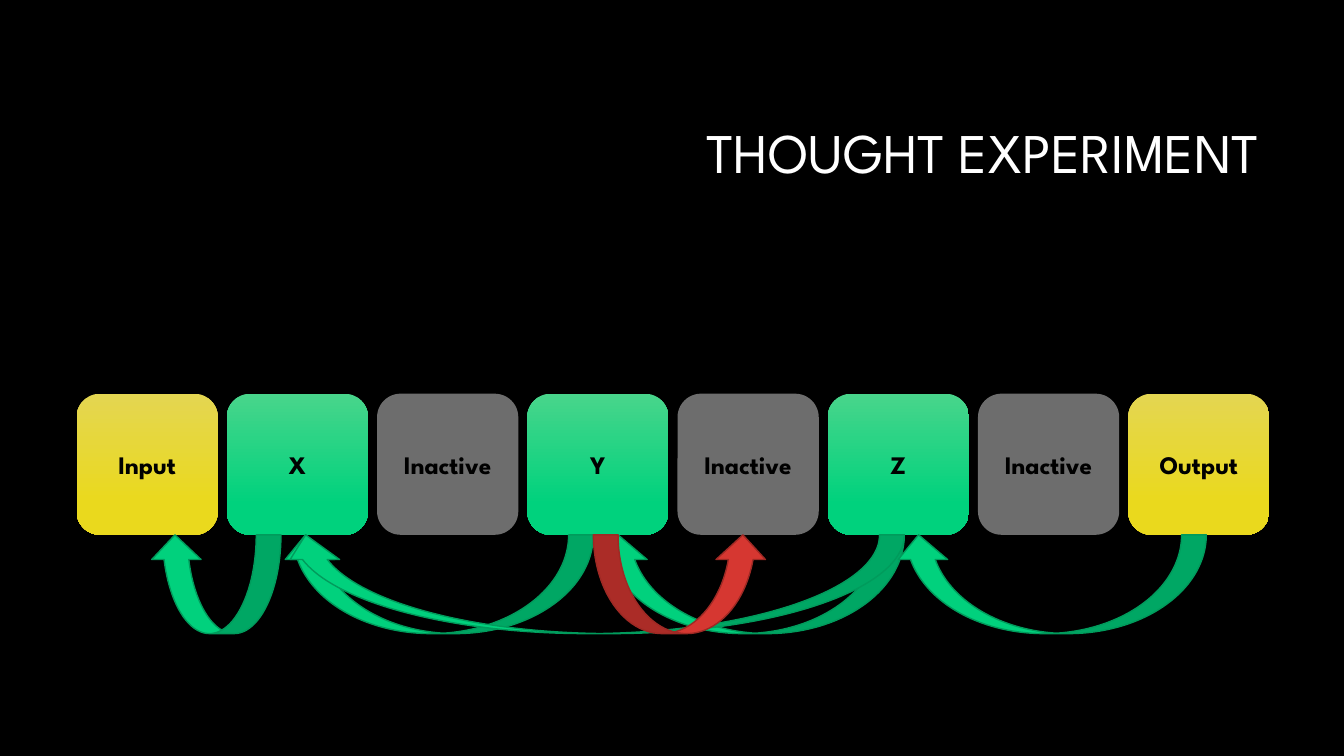
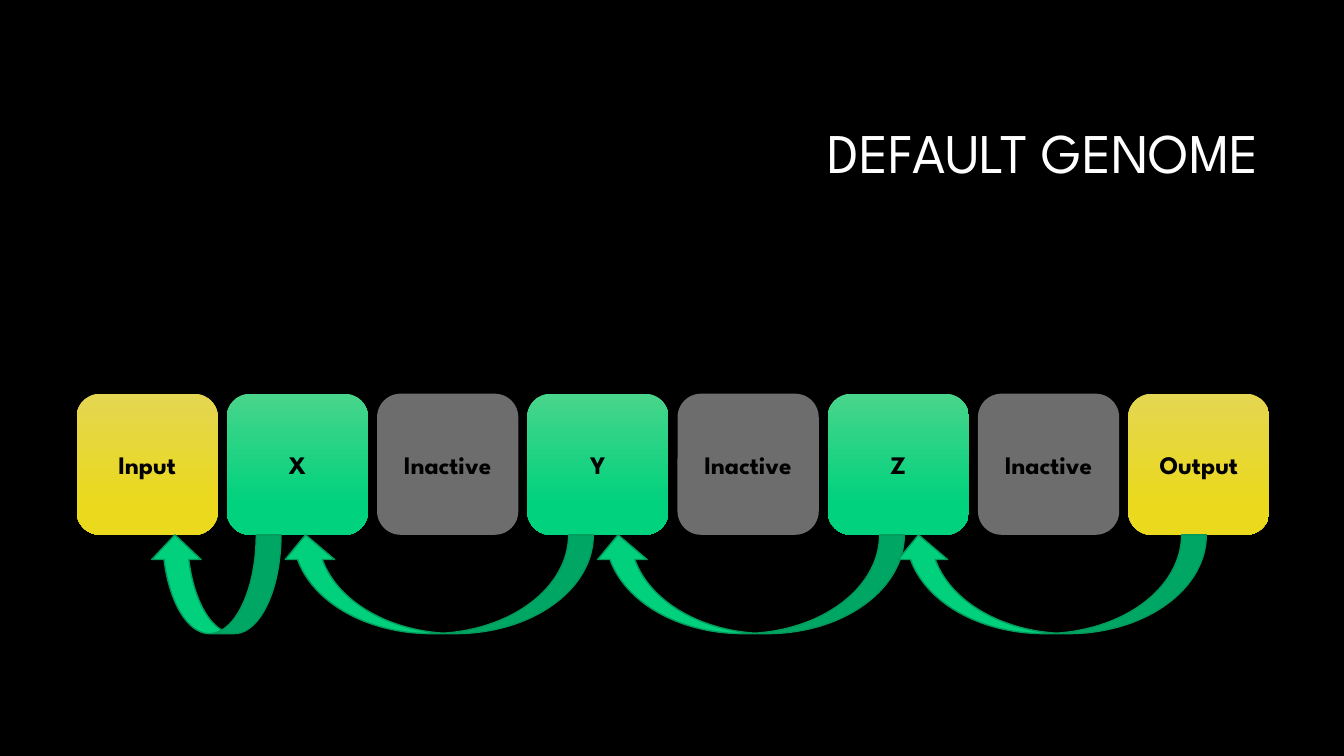
from pptx import Presentation
from pptx.dml.color import RGBColor
from pptx.enum.shapes import MSO_SHAPE
from pptx.enum.text import MSO_ANCHOR, PP_ALIGN
from pptx.util import Inches, Pt

TILE = MSO_SHAPE.ROUNDED_RECTANGLE
CURVED_ARROW = MSO_SHAPE.CURVED_UP_ARROW
MIDDLE = MSO_ANCHOR.MIDDLE
CENTER = PP_ALIGN.CENTER
RIGHT = PP_ALIGN.RIGHT

TITLE_ONLY = 5
TILE_ROW = 2.19
TILE_WIDTH = 0.94

YELLOW = ("E4D651", "EAD91D")
GREEN = ("48D58B", "00D27D")
GRAY = ("6D6D6D",)
ACTIVE_ARROW = ("01D17D", "019B5C")
BROKEN_ARROW = ("D63731", "9E2924")

GENES = [
    ("Input", YELLOW), ("X", GREEN), ("Inactive", GRAY), ("Y", GREEN),
    ("Inactive", GRAY), ("Z", GREEN), ("Inactive", GRAY), ("Output", YELLOW),
]

INPUT_PORT, X_PORT, Y_PORT, Z_PORT = 0.49, 1.36, 3.44, 5.51
Z_HEAD, OUTPUT_PORT, INACTIVE_PORT = 5.44, 7.52, 4.6

DEFAULT_LINKS = [
    (Z_PORT, Y_PORT, ACTIVE_ARROW),
    (Y_PORT, X_PORT, ACTIVE_ARROW),
    (X_PORT, INPUT_PORT, ACTIVE_ARROW),
    (OUTPUT_PORT, Z_HEAD, ACTIVE_ARROW),
]
EXTRA_LINKS = [
    (Z_PORT, X_PORT, ACTIVE_ARROW),
    (Y_PORT, INACTIVE_PORT, BROKEN_ARROW),
]
SLIDES = [
    ("THOUGHT EXPERIMENT", DEFAULT_LINKS + EXTRA_LINKS),
    ("DEFAULT GENOME", DEFAULT_LINKS),
]


def color(value):
    return RGBColor.from_string(value)


class GenomeDeck:
    font = "League Spartan"
    left, top = 0.76, 0.84
    column, row = 1.49, 1.4

    def __init__(self):
        self.deck = Presentation()
        self.deck.slide_width = Inches(13.33)
        self.deck.slide_height = Inches(7.5)
        background = self.deck.slide_master.background.fill
        background.solid()
        background.fore_color.rgb = color("000000")
        self.page = None

    def area(self, column, row, columns, rows):
        return (
            Inches(self.left + column * self.column),
            Inches(self.top + row * self.row),
            Inches(columns * self.column),
            Inches(rows * self.row),
        )

    def add_text(self, shape, text, size, ink, align, bold=False):
        frame = shape.text_frame
        frame.word_wrap = True
        frame.vertical_anchor = MIDDLE
        para = frame.paragraphs[0]
        para.alignment = align
        span = para.add_run()
        span.text = text
        span.font.name = self.font
        span.font.size = Pt(size)
        span.font.bold = bold
        span.font.color.rgb = color(ink)
        return para

    def paint(self, shape, tones):
        shape.shadow.inherit = False
        if len(tones) == 1:
            shape.fill.solid()
            shape.fill.fore_color.rgb = color(tones[0])
            return
        shape.fill.gradient()
        shape.fill.gradient_angle = 270
        for stop, tone, position in zip(shape.fill.gradient_stops, tones, (0, 0.78)):
            stop.color.rgb = color(tone)
            stop.position = position

    def add_page(self, title):
        self.page = self.deck.slides.add_slide(self.deck.slide_layouts[TITLE_ONLY])
        box = self.page.shapes.title
        box.left, box.top, box.width, box.height = self.area(1.62, 0, 6.32, 1)
        para = self.add_text(box, title, 40, "FFFFFF", RIGHT)
        para.line_spacing = 0.9

    def add_tile(self, column, label, tones):
        tile = self.page.shapes.add_shape(
            TILE, *self.area(column, TILE_ROW, TILE_WIDTH, 1))
        self.paint(tile, tones)
        tile.line.fill.background()
        self.add_text(tile, label, 18, "000000", CENTER, bold=True)

    def add_link(self, tail, head, tones):
        fill, outline = tones
        arrow = self.page.shapes.add_shape(
            CURVED_ARROW,
            *self.area(min(tail, head), TILE_ROW + 1, abs(head - tail), 0.7))
        self.paint(arrow, (fill,))
        arrow.line.color.rgb = color(outline)
        arrow.line.width = Pt(1)
        if head < tail:
            arrow.element.spPr.xfrm.set("flipH", "1")


def main():
    genome = GenomeDeck()
    for title, links in SLIDES:
        genome.add_page(title)
        for column, (label, tones) in enumerate(GENES):
            genome.add_tile(column, label, tones)
        for link in links:
            genome.add_link(*link)
    genome.deck.save("out.pptx")


if __name__ == "__main__":
    main()
